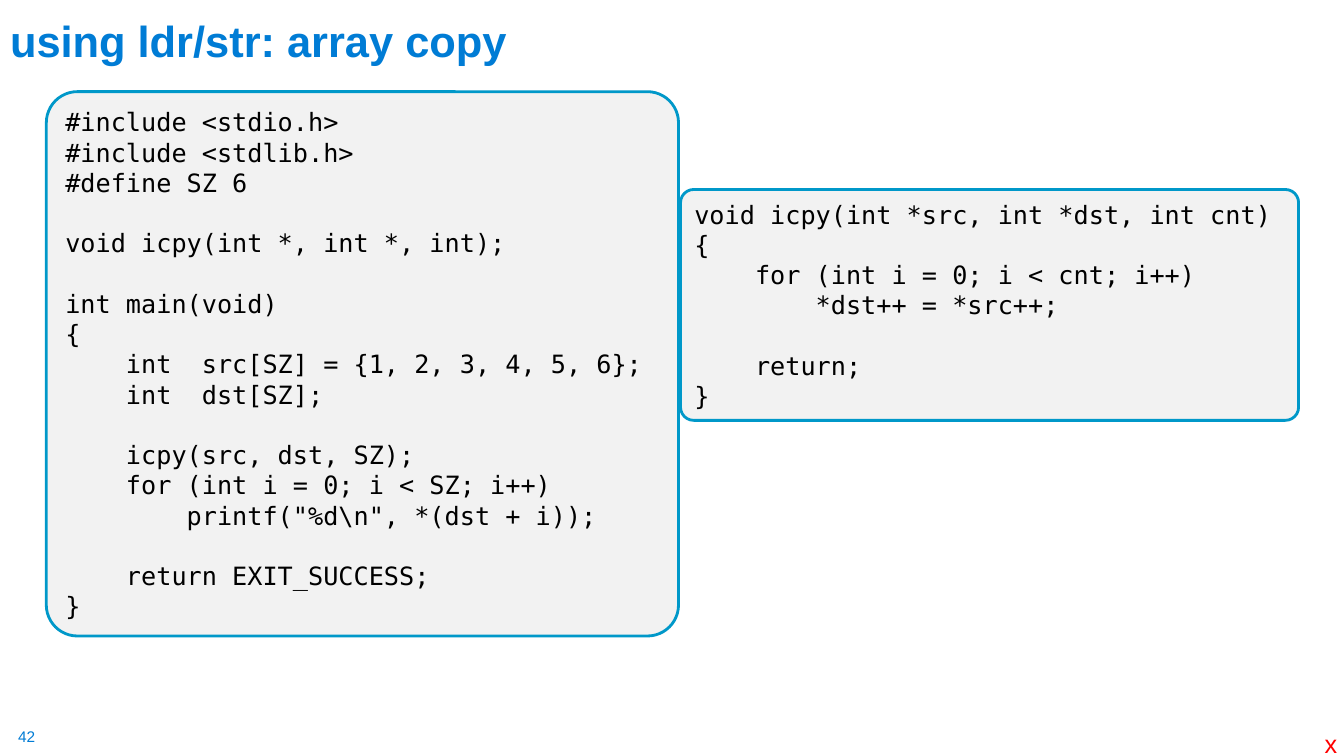
from pptx import Presentation
from pptx.dml.color import RGBColor
from pptx.enum.shapes import MSO_SHAPE
from pptx.enum.text import MSO_ANCHOR, PP_ALIGN
from pptx.util import Inches, Pt

BLUE = RGBColor(0x00, 0x7C, 0xD5)
BORDER = RGBColor(0x00, 0x98, 0xC9)
PANEL = RGBColor(0xF2, 0xF2, 0xF2)
BLACK = RGBColor(0, 0, 0)
RED = RGBColor(0xFF, 0, 0)

MAIN_CODE = r"""#include <stdio.h>
#include <stdlib.h>
#define SZ 6

void icpy(int *, int *, int);

int main(void)
{
    int  src[SZ] = {1, 2, 3, 4, 5, 6};
    int  dst[SZ];

    icpy(src, dst, SZ);
    for (int i = 0; i < SZ; i++)
        printf("%d\n", *(dst + i));

    return EXIT_SUCCESS;
}"""

COPY_CODE = """void icpy(int *src, int *dst, int cnt)
{
    for (int i = 0; i < cnt; i++)
        *dst++ = *src++;

    return;
}"""


def set_text(tf, text, font, size, color, bold=False):
    tf.text = text
    for p in tf.paragraphs:
        p.alignment = PP_ALIGN.LEFT
        p.font.size = Pt(size)
        p.font.name = font
        for r in p.runs:
            r.font.name = font
            r.font.size = Pt(size)
            r.font.bold = bold
            r.font.color.rgb = color


prs = Presentation()
prs.slide_width = Inches(13.33)
prs.slide_height = Inches(7.5)
s = prs.slides.add_slide(prs.slide_layouts.get_by_name("Title Only"))

title = s.shapes.title
title.left, title.top = Inches(0), Inches(0.23)
title.width, title.height = Inches(10.72), Inches(0.48)
title.text_frame.vertical_anchor = MSO_ANCHOR.BOTTOM
set_text(title.text_frame, "using ldr/str: array copy", "Arial", 31, BLUE, bold=True)

# Code panels: left, top, width, height, code
for left, top, width, height, code in [
    (0.46, 0.91, 6.27, 5.4, MAIN_CODE),
    (6.75, 1.88, 6.13, 2.29, COPY_CODE),
]:
    sp = s.shapes.add_shape(MSO_SHAPE.ROUNDED_RECTANGLE, Inches(left), Inches(top),
                            Inches(width), Inches(height))
    sp.adjustments[0] = 0.057
    sp.shadow.inherit = False
    sp.fill.solid()
    sp.fill.fore_color.rgb = PANEL
    sp.line.color.rgb = BORDER
    sp.line.width = Pt(2)
    tf = sp.text_frame
    tf.word_wrap = True
    tf.vertical_anchor = MSO_ANCHOR.MIDDLE
    set_text(tf, code, "DejaVu Sans Mono", 18, BLACK)

# Slide number and corner mark: left, top, width, height, inset, text, size, color
for left, top, width, height, inset, text, size, color in [
    (0.18, 7.21, 0.19, 0.19, 0, "42", 11, BLUE),
    (13.04, 7.18, 0.33, 0.4, 0.1, "x", 18, RED),
]:
    tf = s.shapes.add_textbox(Inches(left), Inches(top), Inches(width), Inches(height)).text_frame
    tf.word_wrap = False
    tf.margin_left = tf.margin_right = Inches(inset)
    tf.margin_top = tf.margin_bottom = Inches(inset / 2)
    set_text(tf, text, "Arial", size, color)

prs.save("out.pptx")
